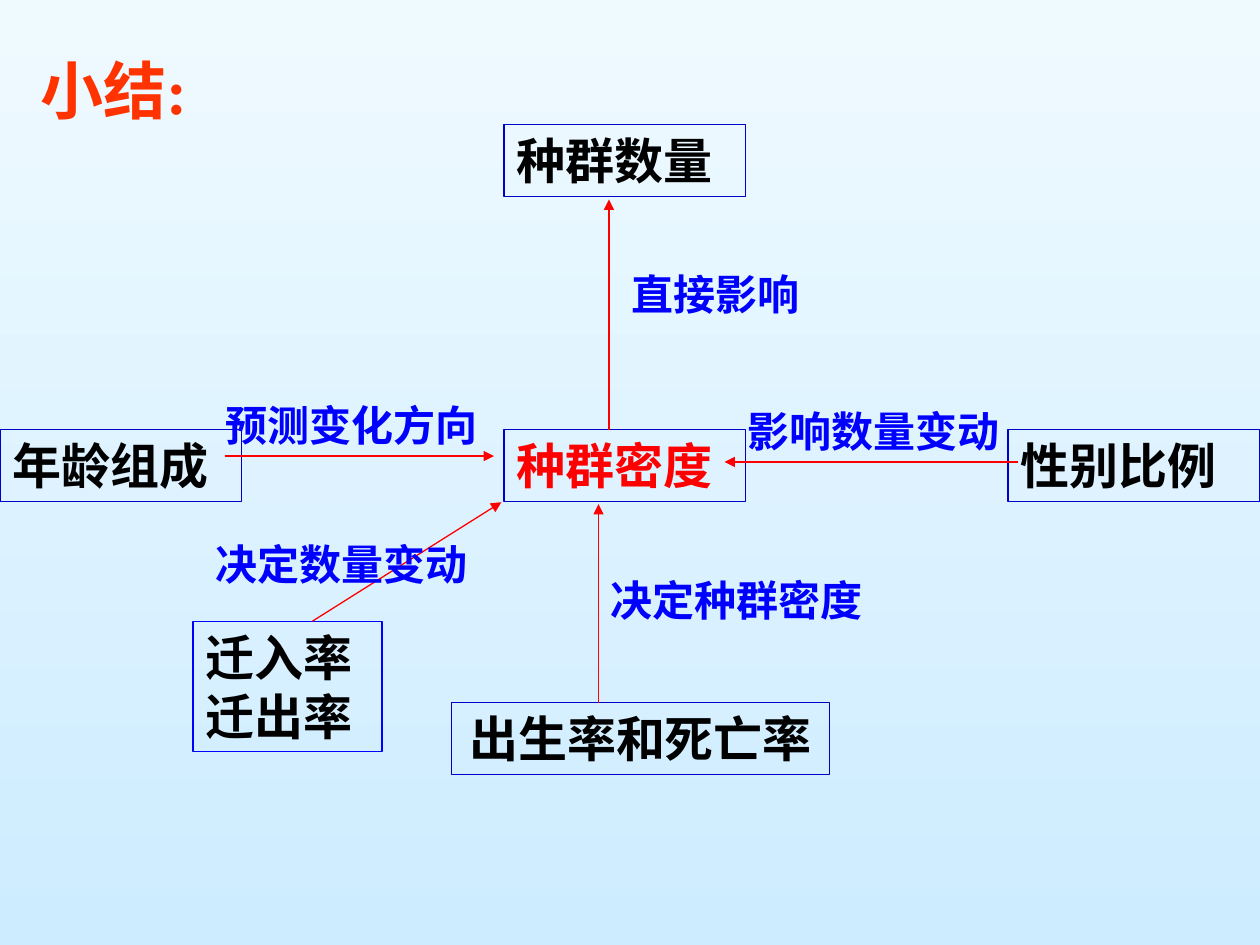
from dataclasses import dataclass

from lxml.etree import SubElement
from pptx import Presentation
from pptx.dml.color import RGBColor
from pptx.enum.shapes import MSO_CONNECTOR, MSO_SHAPE
from pptx.enum.text import MSO_ANCHOR, PP_ALIGN
from pptx.oxml.ns import qn
from pptx.util import Pt


@dataclass(frozen=True)
class Theme:
    font: str = "Times New Roman"
    top: str = "EFFAFF"
    base: str = "CDECFF"
    ink: str = "000000"
    key: str = "FF0000"
    head: str = "FF3300"
    note: str = "0000FF"
    edge: str = "0000CC"
    title: int = 36
    body: int = 28
    small: int = 24
    line: float = 0.75


def rgb(code):
    return RGBColor.from_string(code)


def write(frame, text, *, font, size, color, align=PP_ALIGN.LEFT, wrap=True):
    frame.word_wrap = wrap
    frame.vertical_anchor = MSO_ANCHOR.TOP
    para = frame.paragraphs[0]
    para.alignment = align
    run = para.add_run()
    run.text = text
    run.font.name = font
    run.font.size = Pt(size)
    run.font.bold = True
    run.font.color.rgb = rgb(color)


class Board:
    def __init__(self, slide, theme):
        self.slide = slide
        self.theme = theme

    def paint(self):
        fill = self.slide.background.fill
        fill.gradient()
        fill.gradient_angle = 270
        for stop, color in zip(fill.gradient_stops, (self.theme.top, self.theme.base)):
            stop.color.rgb = rgb(color)
        for stop, place in zip(fill.gradient_stops, (0, 1)):
            stop.position = place

    def box(self, text, x, y, w, h=41, color=None, edge=None, align=PP_ALIGN.LEFT):
        look = self.theme
        shape = self.slide.shapes.add_shape(
            MSO_SHAPE.RECTANGLE, Pt(x), Pt(y), Pt(w), Pt(h))
        shape.shadow.inherit = False
        shape.fill.background()
        shape.line.color.rgb = rgb(edge or look.edge)
        shape.line.width = Pt(look.line)
        write(shape.text_frame, text, font=look.font, size=look.body,
              color=color or look.ink, align=align)

    def label(self, text, x, y, w, h=36, size=None, color=None, wrap=True):
        look = self.theme
        area = self.slide.shapes.add_textbox(Pt(x), Pt(y), Pt(w), Pt(h))
        write(area.text_frame, text, font=look.font, size=size or look.small,
              color=color or look.note, wrap=wrap)

    def arrow(self, x1, y1, x2, y2):
        link = self.slide.shapes.add_connector(
            MSO_CONNECTOR.STRAIGHT, Pt(x1), Pt(y1), Pt(x2), Pt(y2))
        link.line.color.rgb = rgb(self.theme.key)
        link.line.width = Pt(self.theme.line)
        SubElement(link.line._get_or_add_ln(), qn("a:tailEnd"), type="triangle")
        SubElement(link._element.spPr, qn("a:effectLst"))


def main():
    deck = Presentation()
    deck.slide_width, deck.slide_height = Pt(720), Pt(540)
    theme = Theme()
    board = Board(deck.slides.add_slide(deck.slide_layouts[6]), theme)
    board.paint()

    # Factors around the population density
    row, mid, wide = 245.5, 288, 138
    board.box("种群密度", mid, row, wide, color=theme.key)
    board.box("种群数量", mid, 71.3, wide)
    board.box("出生率和死亡率", 258, 401.5, 216, align=PP_ALIGN.CENTER)
    board.box("性别比例", 576, row, 144)
    board.box("年龄组成", 0, row, wide)
    board.box("迁入率迁出率", 110.3, 355, 108, h=74.6, edge=theme.note)

    # Arrows
    for ends in (
        (128.3, 260.6, 282.3, 260.6),
        (348, 246, 348, 114),
        (582, 264, 414, 264),
        (342, 402, 342, 288),
        (178.5, 355, 286.5, 287),
    ):
        board.arrow(*ends)

    # Effects
    for text, x, y, w in (
        ("预测变化方向", 121.7, 224.6, 193),
        ("直接影响", 354, 150, 114),
        ("影响数量变动", 420, 228, 162),
        ("决定种群密度", 342, 324.7, 165.6),
        ("决定数量变动", 116, 304, 181.4),
    ):
        board.label(text, x, y, w)

    # Heading
    board.label("小结:", 15.8, 26, 106.6, h=50.4, size=theme.title,
                color=theme.head, wrap=False)

    deck.save("out.pptx")


if __name__ == "__main__":
    main()
